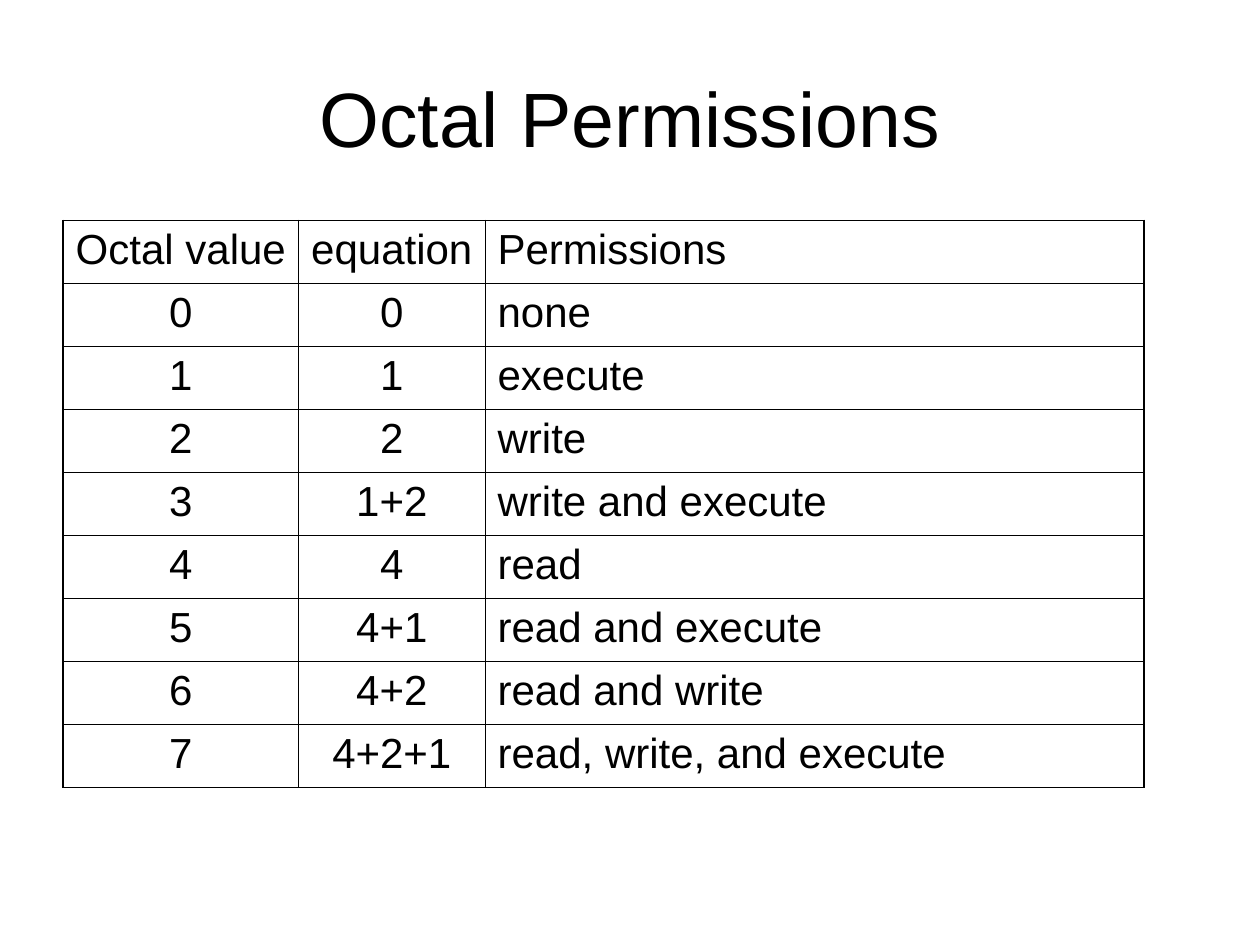
from dataclasses import dataclass

from lxml.etree import SubElement
from pptx import Presentation
from pptx.dml.color import RGBColor
from pptx.enum.text import MSO_ANCHOR, PP_ALIGN
from pptx.oxml.ns import qn
from pptx.util import Inches, Pt

BLACK = RGBColor(0, 0, 0)
FONT = "Arial"
OUTER, INNER = Pt(1.08), Pt(0.45)
LEFT, TOP, ROW_HEIGHT = 0.5, 1.75, 0.5


@dataclass(frozen=True)
class Column:
    heading: str
    width: float
    align: PP_ALIGN


COLUMNS = (
    Column("Octal value", 1.87, PP_ALIGN.CENTER),
    Column("equation", 1.48, PP_ALIGN.CENTER),
    Column("Permissions", 5.23, PP_ALIGN.LEFT),
)
PERMISSIONS = (
    ("0", "none"),
    ("1", "execute"),
    ("2", "write"),
    ("1+2", "write and execute"),
    ("4", "read"),
    ("4+1", "read and execute"),
    ("4+2", "read and write"),
    ("4+2+1", "read, write, and execute"),
)


def format_paragraph(p, size: int, align: PP_ALIGN) -> None:
    p.alignment = align
    p.font.name = FONT
    p.font.size = Pt(size)
    p.font.color.rgb = BLACK


def set_borders(cell, widths: dict[str, int]) -> None:
    tc_pr = cell._tc.get_or_add_tcPr()
    for side, width in widths.items():
        ln = SubElement(tc_pr, qn(f"a:ln{side}"), w=str(int(width)))
        fill = SubElement(ln, qn("a:solidFill"))
        SubElement(fill, qn("a:srgbClr"), val=str(BLACK))


def add_title(s, text: str) -> None:
    title = s.shapes.title
    title.left, title.top = Inches(0.5), Inches(0.3)
    title.width, title.height = Inches(9), Inches(1.25)
    tf = title.text_frame
    tf.text = text
    tf.vertical_anchor = MSO_ANCHOR.MIDDLE
    format_paragraph(tf.paragraphs[0], 44, PP_ALIGN.CENTER)


def add_permission_table(s) -> None:
    rows = [tuple(c.heading for c in COLUMNS)]
    rows += [(str(i), *entry) for i, entry in enumerate(PERMISSIONS)]
    last_row, last_col = len(rows) - 1, len(COLUMNS) - 1
    table = s.shapes.add_table(
        len(rows), len(COLUMNS), Inches(LEFT), Inches(TOP),
        Inches(sum(c.width for c in COLUMNS)), Inches(ROW_HEIGHT * len(rows)),
    ).table
    table.first_row = table.horz_banding = False

    for j, column in enumerate(COLUMNS):
        table.columns[j].width = Inches(column.width)
        for i, row in enumerate(rows):
            cell = table.cell(i, j)
            cell.text = row[j]
            p = cell.text_frame.paragraphs[0]
            p.space_before = Pt(6)
            format_paragraph(p, 24, column.align)
            # Heavier lines around the outside of the grid
            set_borders(cell, {
                "L": OUTER if j == 0 else INNER,
                "R": OUTER if j == last_col else INNER,
                "T": OUTER if i == 0 else INNER,
                "B": OUTER if i == last_row else INNER,
            })
            cell.fill.background()


def main() -> None:
    prs = Presentation()
    prs.slide_width, prs.slide_height = Inches(10), Inches(7.5)
    s = prs.slides.add_slide(prs.slide_layouts[5])  # title only
    add_title(s, "Octal Permissions")
    add_permission_table(s)
    prs.save("out.pptx")


if __name__ == "__main__":
    main()
